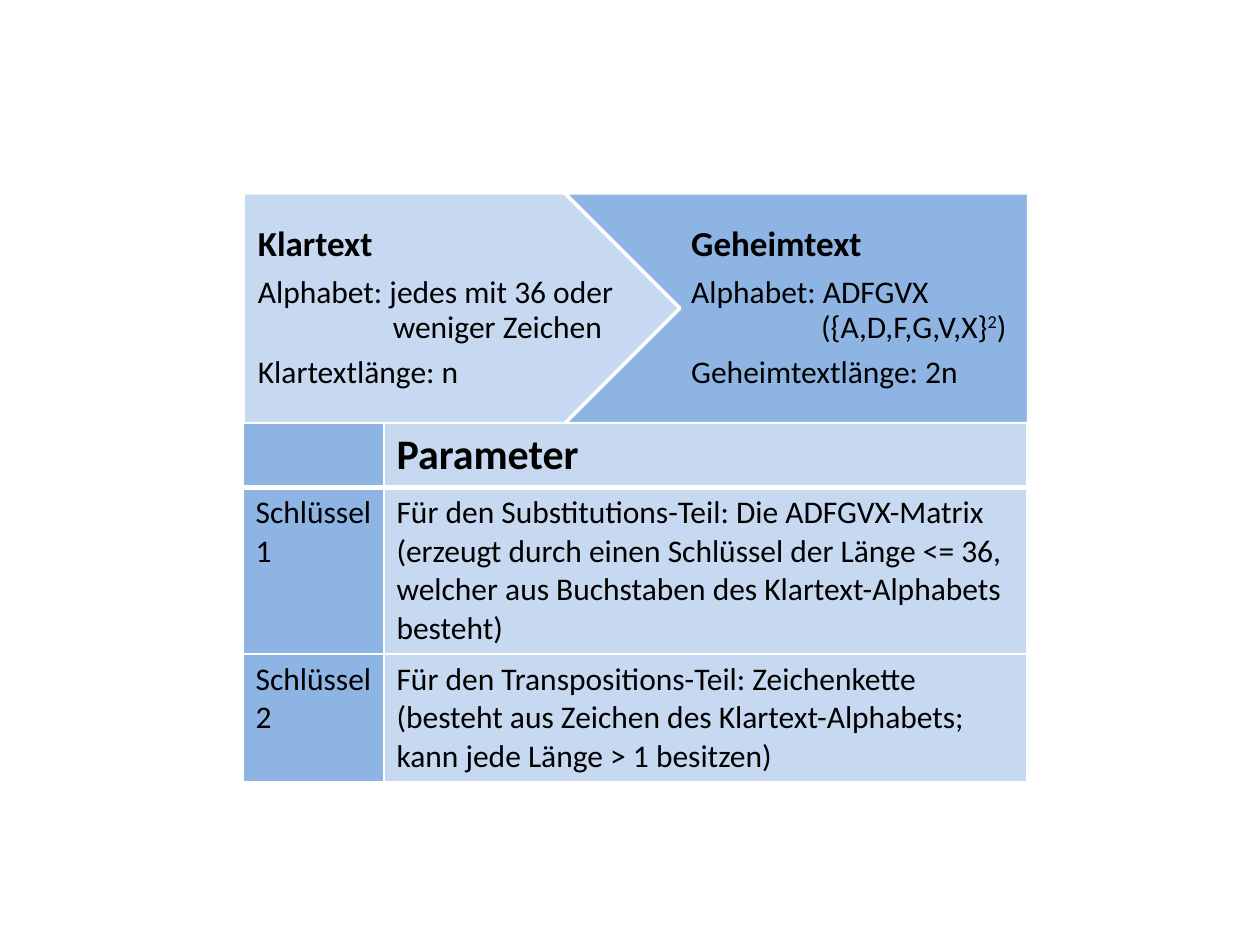
from lxml import etree
from pptx import Presentation
from pptx.dml.color import RGBColor
from pptx.enum import shapes, text
from pptx.oxml import ns
from pptx.util import Cm, Pt

LIGHT, MID, WHITE, BLACK = "C6D9F1", "8EB4E3", "FFFFFF", "000000"


def colour(hex_value):
    return RGBColor.from_string(hex_value)


def write(paragraph, content, size=18, bold=False, raised=False):
    """Add one run; a line feed in the content becomes a line break."""
    for index, line in enumerate(content.split("\n")):
        if index:
            paragraph.add_line_break()
        run = paragraph.add_run()
        run.text = line
        run.font.name = "Calibri"
        run.font.size = Pt(size)
        run.font.bold = bold
        run.font.color.rgb = colour(BLACK)
        if raised:
            run.font._element.set("baseline", "30000")


def add_block(parent, kind, box, fill, outline=None):
    block = parent.add_shape(kind, *(Cm(length) for length in box))
    block.shadow.inherit = False
    block.fill.solid()
    block.fill.fore_color.rgb = colour(fill)
    if outline:
        block.line.color.rgb = colour(outline)
        block.line.width = Pt(2)
    else:
        block.line.fill.background()
    return block


def fill_step(step, inset, hanging, heading, alphabet, length):
    """Write heading, alphabet (with hanging second line) and text length."""
    frame = step.text_frame
    frame.word_wrap = True
    frame.vertical_anchor = text.MSO_ANCHOR.MIDDLE
    frame.margin_left, frame.margin_right = Cm(inset), Cm(0.08)
    frame.margin_top = frame.margin_bottom = Cm(0.15)
    title, letters, size = (frame.paragraphs[0], frame.add_paragraph(),
                            frame.add_paragraph())
    for paragraph in (title, letters, size):
        paragraph.alignment = text.PP_ALIGN.LEFT
        paragraph.line_spacing = 0.9
        paragraph.space_after = Pt(7 if paragraph is title else 6.3)
    write(title, heading, size=20, bold=True)
    properties = letters._p.get_or_add_pPr()
    properties.set("marL", str(Cm(hanging)))
    properties.set("indent", str(-Cm(hanging)))
    for content, raised in alphabet:
        write(letters, content, raised=raised)
    write(size, length)


def add_process(slide, left, top, width, height):
    """Two interlocking arrows; the second is cut off at the right edge."""
    arrows = slide.shapes.add_group_shape().shapes
    plain = add_block(arrows, shapes.MSO_SHAPE.PENTAGON,
                      (left, top, 10.01, height), LIGHT, WHITE)
    fill_step(plain, 0.3, 2.72, "Klartext",
              [("Alphabet: jedes mit 36 oder\nweniger Zeichen", False)],
              "Klartextlänge: n")
    cipher = add_block(arrows, shapes.MSO_SHAPE.CHEVRON,
                       (left + 6.48, top, 11.71, height), MID, WHITE)
    fill_step(cipher, 0.23, 2.62, "Geheimtext",
              [("Alphabet: ADFGVX\n({A,D,F,G,V,X}", False), ("2", True),
               (")", False)],
              "Geheimtextlänge: 2n")
    # White cover over the tip of the second arrow
    add_block(slide.shapes, shapes.MSO_SHAPE.RECTANGLE,
              (left + width, top - 0.97, 2.39, 6.2), WHITE)


def add_borders(cell, **widths):
    properties = cell._tc.get_or_add_tcPr()
    for side in "LRTB":
        line = etree.SubElement(properties, ns.qn(f"a:ln{side}"),
                                w=str(Pt(widths.get(side, 0.96))))
        solid = etree.SubElement(line, ns.qn("a:solidFill"))
        etree.SubElement(solid, ns.qn("a:srgbClr"), val=WHITE)


def add_parameters(slide, left, top, width):
    """Key names on the left, their meaning on the right."""
    rows = [
        ("", "Parameter"),
        ("Schlüssel 1",
         "Für den Substitutions-Teil: Die ADFGVX-Matrix (erzeugt durch einen "
         "Schlüssel der Länge <= 36, welcher aus Buchstaben des "
         "Klartext-Alphabets besteht)"),
        ("Schlüssel 2",
         "Für den Transpositions-Teil: Zeichenkette\n(besteht aus Zeichen des "
         "Klartext-Alphabets;\nkann jede Länge > 1 besitzen)"),
    ]
    heights = (1.19, 1.04, 1.04)
    key_width = 2.84
    table = slide.shapes.add_table(len(rows), 2, Cm(left), Cm(top), Cm(width),
                                   Cm(sum(heights))).table
    table.columns[0].width = Cm(key_width)
    table.columns[1].width = Cm(width - key_width)
    edges = ({"B": 3}, {"T": 3}, {})
    for r, (row, height) in enumerate(zip(rows, heights)):
        table.rows[r].height = Cm(height)
        for c, (content, fill) in enumerate(zip(row, (MID, LIGHT))):
            cell = table.cell(r, c)
            add_borders(cell, **edges[r])
            cell.fill.solid()
            cell.fill.fore_color.rgb = colour(fill)
            if content:
                write(cell.text_frame.paragraphs[0], content,
                      size=18 if r else 24, bold=r == 0)


def main():
    deck = Presentation()
    deck.slide_width, deck.slide_height = Cm(25.4), Cm(19.05)
    slide = deck.slides.add_slide(deck.slide_layouts[6])
    left, top, width, height = 4.9, 3.89, 15.8, 4.65
    add_process(slide, left, top, width, height)
    add_parameters(slide, left, top + height, width)
    deck.save("out.pptx")


if __name__ == "__main__":
    main()
